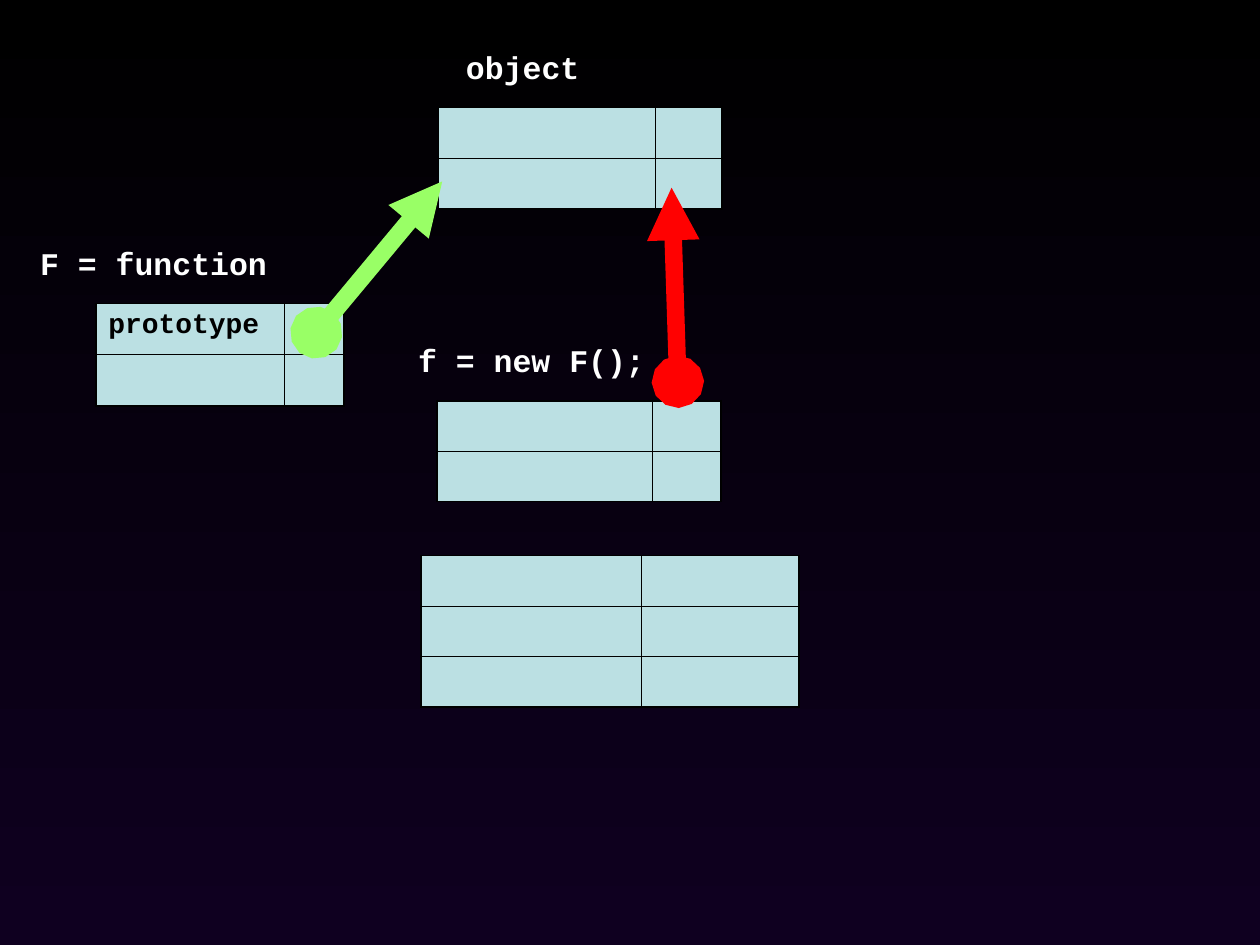
from dataclasses import dataclass

import pptx
import pptx.dml.color
import pptx.enum.dml
import pptx.enum.shapes
import pptx.enum.text
import pptx.oxml
import pptx.oxml.ns
import pptx.util
from lxml import etree

Inches = pptx.util.Inches
Pt = pptx.util.Pt


@dataclass(frozen=True)
class Theme:
    font: str = "Courier New"
    label_size: float = 18
    cell_size: float = 16
    sky_top: str = "000000"
    sky_bottom: str = "0F0020"
    label: str = "FFFFFF"
    ink: str = "000000"
    cell: str = "BBE0E3"
    prototype_link: str = "99FF66"
    instance_link: str = "FF0101"
    outer_border: float = 1.08
    inner_border: float = 0.45
    link_width: float = 10


THEME = Theme()
ROW_HEIGHT = 0.37


def rgb(value):
    return pptx.dml.color.RGBColor.from_string(value)


def paint_background(slide):
    fill = slide.background.fill
    fill.gradient()
    fill.gradient_angle = 270
    for stop, colour in zip(fill.gradient_stops, (THEME.sky_top, THEME.sky_bottom)):
        stop.color.rgb = rgb(colour)


def style_text(paragraph, size, colour):
    for run in paragraph.runs:
        run.font.name = THEME.font
        run.font.size = Pt(size)
        run.font.bold = True
        run.font.color.rgb = rgb(colour)


def add_label(slide, text, left, top, width):
    label = slide.shapes.add_textbox(Inches(left), Inches(top), Inches(width), Inches(0.4))
    frame = label.text_frame
    frame.word_wrap = False
    frame.auto_size = pptx.enum.text.MSO_AUTO_SIZE.SHAPE_TO_FIT_TEXT
    frame.text = text
    style_text(frame.paragraphs[0], THEME.label_size, THEME.label)


def set_borders(cell, outer_sides):
    properties = cell._tc.get_or_add_tcPr()
    for side in "LRTB":
        width = THEME.outer_border if side in outer_sides else THEME.inner_border
        properties.append(pptx.oxml.parse_xml(
            f'<a:ln{side} {pptx.oxml.ns.nsdecls("a")} w="{Pt(width)}">'
            f'<a:solidFill><a:srgbClr val="{THEME.ink}"/></a:solidFill></a:ln{side}>'))


def add_slots(slide, left, top, column_widths, row_count, first_slot=""):
    column_count = len(column_widths)
    slots = slide.shapes.add_table(
        row_count, column_count, Inches(left), Inches(top),
        Inches(sum(column_widths)), Inches(row_count * ROW_HEIGHT)).table
    slots.first_row = False
    slots.horz_banding = False
    for column, width in zip(slots.columns, column_widths):
        column.width = Inches(width)
    for r in range(row_count):
        slots.rows[r].height = Inches(ROW_HEIGHT)
        for c in range(column_count):
            at_edge = {"L": c == 0, "R": c == column_count - 1,
                       "T": r == 0, "B": r == row_count - 1}
            cell = slots.cell(r, c)
            set_borders(cell, [side for side, outer in at_edge.items() if outer])
            cell.fill.solid()
            cell.fill.fore_color.rgb = rgb(THEME.cell)
    if first_slot:
        frame = slots.cell(0, 0).text_frame
        frame.text = first_slot
        style_text(frame.paragraphs[0], THEME.cell_size, THEME.ink)


def add_link(slide, start, end, colour):
    link = slide.shapes.add_connector(
        pptx.enum.shapes.MSO_CONNECTOR.STRAIGHT,
        *(Inches(value) for value in (*start, *end)))
    link.line.color.rgb = rgb(colour)
    link.line.width = Pt(THEME.link_width)
    outline = link.line._get_or_add_ln()
    for tag, kind in (("a:headEnd", "oval"), ("a:tailEnd", "triangle")):
        etree.SubElement(outline, pptx.oxml.ns.qn(tag), type=kind)
    etree.SubElement(link._element.spPr, pptx.oxml.ns.qn("a:effectLst"))


def main():
    deck = pptx.Presentation()
    deck.slide_width, deck.slide_height = Inches(10), Inches(7.5)
    slide = deck.slides.add_slide(deck.slide_layouts[6])
    paint_background(slide)

    add_slots(slide, 0.76, 2.41, (1.5, 0.47), 2, "prototype")
    add_slots(slide, 3.48, 0.85, (1.72, 0.53), 2)
    add_link(slide, (2.51, 2.64), (3.51, 1.44), THEME.prototype_link)
    add_label(slide, "object", 3.6, 0.33, 1.1)
    add_label(slide, "F = function", 0.22, 1.89, 2)
    add_slots(slide, 3.34, 4.41, (1.75, 1.25), 3)
    add_slots(slide, 3.47, 3.18, (1.71, 0.54), 2)
    add_link(slide, (5.38, 3.03), (5.33, 1.49), THEME.instance_link)
    add_label(slide, "f = new F();", 3.22, 2.66, 2)

    deck.save("out.pptx")


if __name__ == "__main__":
    main()
